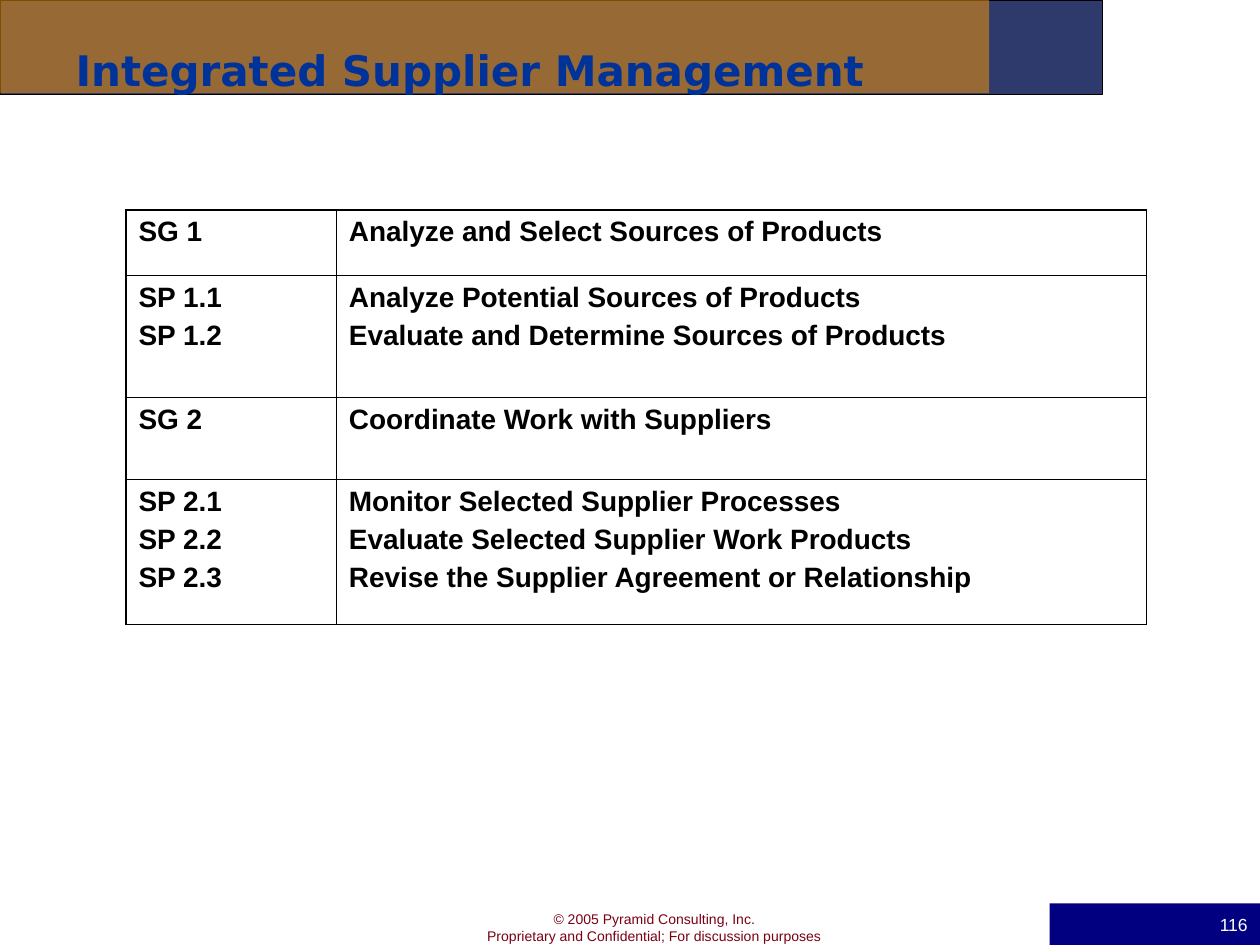
from lxml import etree
from pptx import Presentation
from pptx.dml.color import RGBColor
from pptx.enum.shapes import MSO_SHAPE
from pptx.enum.text import MSO_ANCHOR, MSO_AUTO_SIZE, PP_ALIGN
from pptx.oxml.ns import qn
from pptx.util import Cm, Pt

RECT = MSO_SHAPE.RECTANGLE
TOP, MIDDLE = MSO_ANCHOR.TOP, MSO_ANCHOR.MIDDLE
LEFT, CENTER, RIGHT = PP_ALIGN.LEFT, PP_ALIGN.CENTER, PP_ALIGN.RIGHT
NO_AUTOFIT = MSO_AUTO_SIZE.NONE

COLORS = {
    "black": "000000",
    "slate": "2E3A6C",
    "orange": "FF9900",
    "navy": "000080",
    "title": "003399",
    "maroon": "7A0014",
    "white": "FFFFFF",
}
OUTER, INNER = 1.08, 0.45  # table border widths in points

GOALS = [
    (["SG 1"], ["Analyze and Select Sources of Products"]),
    (["SP 1.1", "SP 1.2"],
     ["Analyze Potential Sources of Products",
      "Evaluate and Determine Sources of Products"]),
    (["SG 2"], ["Coordinate Work with Suppliers"]),
    (["SP 2.1", "SP 2.2", "SP 2.3"],
     ["Monitor Selected Supplier Processes",
      "Evaluate Selected Supplier Work Products",
      "Revise the Supplier Agreement or Relationship"]),
]


class SlideBuilder:
    """Holds the style and the current slide."""

    def __init__(self, slide, body_font="Arial", title_font="DejaVu Sans"):
        self.slide = slide
        self.body_font = body_font
        self.title_font = title_font

    def color(self, name):
        return RGBColor.from_string(COLORS[name])

    def add_lines(self, frame, lines, size, color, bold=False, align=LEFT,
                  font=None, gap=0):
        frame.word_wrap = True
        for index, line in enumerate(lines):
            paragraph = frame.add_paragraph() if index else frame.paragraphs[0]
            paragraph.alignment = align
            if index:
                paragraph.space_before = Pt(gap)
            run = paragraph.add_run()
            run.text = line
            run.font.name = font or self.body_font
            run.font.size = Pt(size)
            run.font.bold = bold
            run.font.color.rgb = self.color(color)

    def rectangle(self, left, top, width, height, fill, line=None, alpha=None):
        rectangle = self.slide.shapes.add_shape(
            RECT, Cm(left), Cm(top), Cm(width), Cm(height))
        rectangle.shadow.inherit = False
        rectangle.fill.solid()
        rectangle.fill.fore_color.rgb = self.color(fill)
        if line:
            rectangle.line.color.rgb = self.color(line)
            rectangle.line.width = Pt(0.75)
        else:
            rectangle.line.fill.background()
        if alpha:
            tint = rectangle._element.spPr.find(
                f"{qn('a:solidFill')}/{qn('a:srgbClr')}")
            etree.SubElement(tint, qn("a:alpha"), val=str(alpha * 1000))
        return rectangle

    def text_box(self, left, top, width, height, lines, **style):
        box = self.slide.shapes.add_textbox(
            Cm(left), Cm(top), Cm(width), Cm(height))
        self.add_lines(box.text_frame, lines, **style)

    def title(self, left, top, width, height, text):
        title = self.slide.shapes.title
        title.left, title.top = Cm(left), Cm(top)
        title.width, title.height = Cm(width), Cm(height)
        title.text_frame.auto_size = NO_AUTOFIT
        title.text_frame.vertical_anchor = TOP
        self.add_lines(title.text_frame, [text], 24, "title", bold=True,
                       font=self.title_font)
        # Bring the title in front of the banner
        title._element.getparent().append(title._element)

    def border(self, cell, side, width):
        line = etree.SubElement(cell._tc.get_or_add_tcPr(), qn(f"a:ln{side}"),
                                w=str(Pt(width)))
        fill = etree.SubElement(line, qn("a:solidFill"))
        etree.SubElement(fill, qn("a:srgbClr"), val=COLORS["black"])

    def table(self, left, top, widths, heights, rows):
        table = self.slide.shapes.add_table(
            len(heights), len(widths), Cm(left), Cm(top),
            Cm(sum(widths)), Cm(sum(heights))).table
        table.first_row = table.horz_banding = False
        for column, width in zip(table.columns, widths):
            column.width = Cm(width)
        for row, height in zip(table.rows, heights):
            row.height = Cm(height)
        last_row, last_column = len(heights) - 1, len(widths) - 1
        for r, row in enumerate(rows):
            for c, lines in enumerate(row):
                cell = table.cell(r, c)
                self.add_lines(cell.text_frame, lines, 16, "black", bold=True,
                               gap=4)
                on_edge = {"L": c == 0, "R": c == last_column,
                           "T": r == 0, "B": r == last_row}
                for side, outer in on_edge.items():
                    self.border(cell, side, OUTER if outer else INNER)
                cell.fill.background()


def main():
    deck = Presentation()
    deck.slide_width, deck.slide_height = Cm(25.4), Cm(19.05)
    builder = SlideBuilder(deck.slides.add_slide(deck.slide_layouts[5]))

    # Banner and copyright
    builder.rectangle(0, 0, 22.23, 1.9, "slate", line="black")
    builder.text_box(
        9.45, 18.24, 7.49, 0.94,
        ["© 2005 Pyramid Consulting, Inc.",
         "Proprietary and Confidential; For discussion purposes"],
        size=8, color="maroon", align=CENTER)
    builder.rectangle(0, 0, 19.94, 1.88, "orange", alpha=50)

    # Goals and practices
    builder.table(2.54, 4.24, [4.24, 16.33], [1.32, 2.46, 1.65, 2.92], GOALS)

    # Title
    builder.title(1.27, 0.76, 22.86, 3.18, "Integrated Supplier Management")

    # Page number
    page = builder.rectangle(21.16, 18.21, 4.24, 0.84, "navy")
    page.text_frame.vertical_anchor = MIDDLE
    builder.add_lines(page.text_frame, ["116"], 10, "white", align=RIGHT)

    deck.save("out.pptx")


if __name__ == "__main__":
    main()
